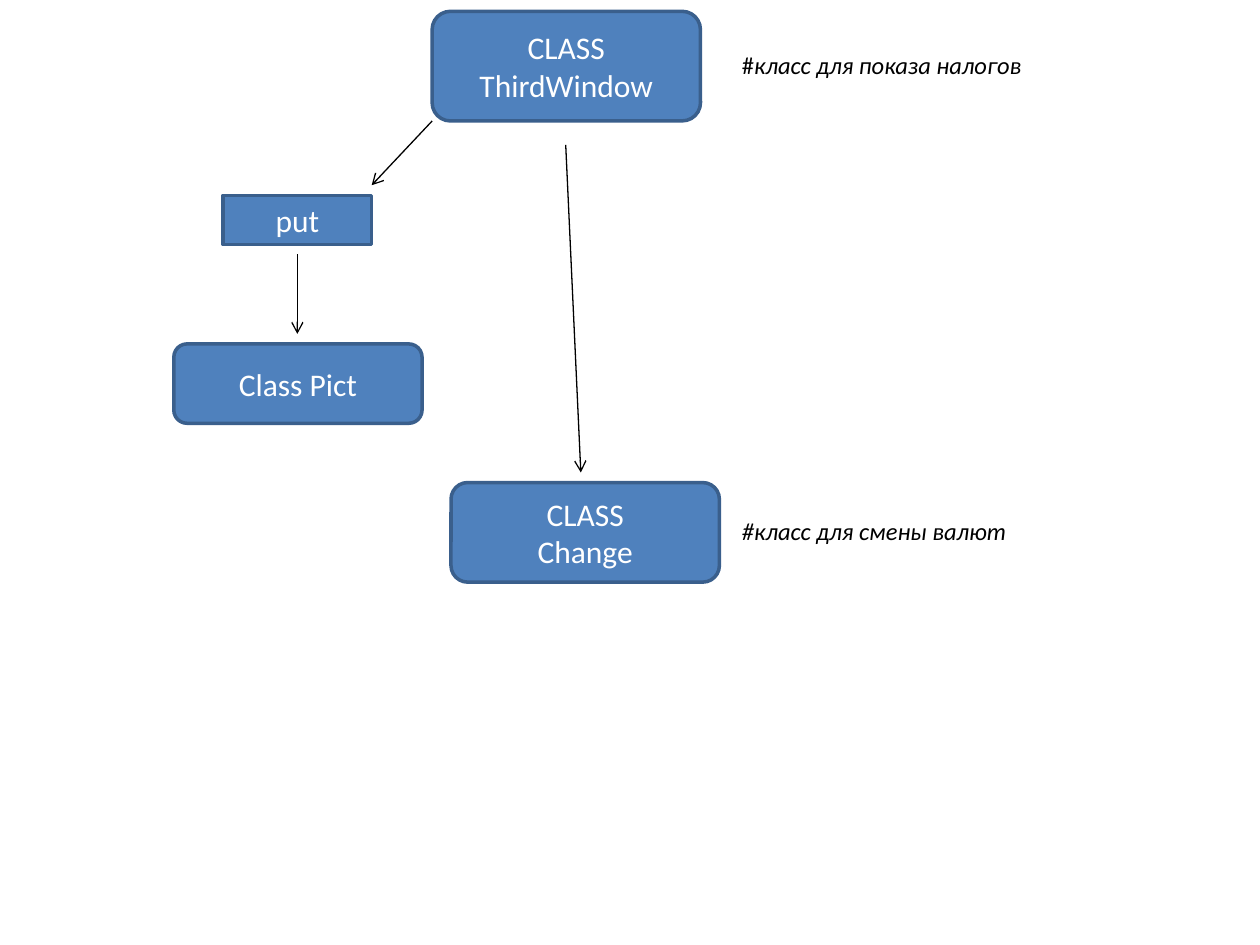
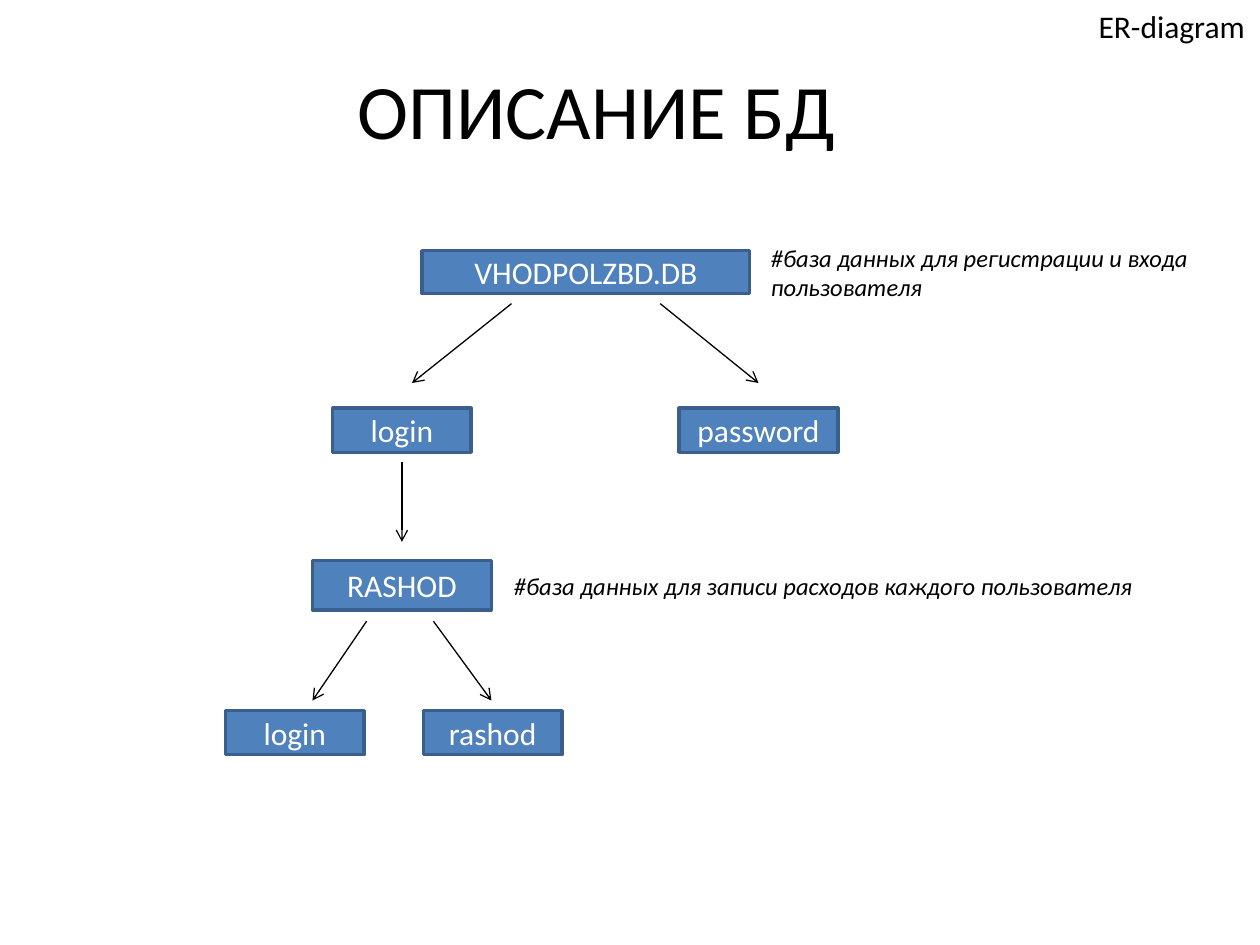
import collections
import lxml.etree
import pptx
import pptx.dml.color
import pptx.enum.shapes
import pptx.enum.text
import pptx.oxml.ns
import pptx.util

Inches = pptx.util.Inches
Pt = pptx.util.Pt
Color = pptx.dml.color.RGBColor
Shape = pptx.enum.shapes.MSO_SHAPE
Align = pptx.enum.text.PP_ALIGN
Anchor = pptx.enum.text.MSO_ANCHOR
Fit = pptx.enum.text.MSO_AUTO_SIZE
qn = pptx.oxml.ns.qn

BLUE = Color(0x4F, 0x81, 0xBD)
EDGE = Color(0x3A, 0x5F, 0x8C)
WHITE = Color(0xFF, 0xFF, 0xFF)
BLACK = Color(0, 0, 0)

FACE = "Calibri"
NODE = {"name": FACE, "size": Pt(18)}
NOTE = {"name": FACE, "size": Pt(14), "italic": True}
HEAD = {"name": FACE, "size": Pt(44)}
DROP = 0.63

Box = collections.namedtuple("Box", "left top width height")


def inner(box, left, top, width, height):
    return Box(box.left + left, box.top + top, width, height)


def style(font, form, color):
    for key, value in form.items():
        setattr(font, key, value)
    font.color.rgb = color


def write(frame, text, form, color, align):
    frame.text = text
    for para in frame.paragraphs:
        para.alignment = align
        for run in para.runs:
            style(run.font, form, color)


def node(slide, box, text, kind=Shape.RECTANGLE):
    shape = slide.shapes.add_shape(kind, *map(Inches, box))
    shape.shadow.inherit = False
    shape.fill.solid()
    shape.fill.fore_color.rgb = BLUE
    shape.line.color.rgb = EDGE
    shape.line.width = Pt(2)
    shape.text_frame.vertical_anchor = Anchor.MIDDLE
    write(shape.text_frame, text, NODE, WHITE, Align.CENTER)


def label(slide, box, text, form=NOTE, wrap=False):
    frame = slide.shapes.add_textbox(*map(Inches, box)).text_frame
    frame.word_wrap = wrap
    frame.auto_size = Fit.SHAPE_TO_FIT_TEXT
    write(frame, text, form, BLACK, Align.LEFT)
    return frame


def arrow(slide, box, x, y, end, drop=DROP):
    ends = (box.left + x, box.top + y, box.left + end, box.top + y + drop)
    link = slide.shapes.add_connector(
        pptx.enum.shapes.MSO_CONNECTOR.STRAIGHT, *map(Inches, ends))
    link.line.color.rgb = BLACK
    link.line.width = Pt(0.75)
    props = link.line._get_or_add_ln()
    lxml.etree.SubElement(props, qn("a:tailEnd"), type="arrow")
    lxml.etree.SubElement(props.getparent(), qn("a:effectLst"))


def classes(slide, box):
    node(slide, inner(box, 2.05, 0, 2.13, 0.87), "CLASS\nThirdWindow",
         Shape.ROUNDED_RECTANGLE)
    node(slide, inner(box, 0.39, 1.46, 1.18, 0.39), "put")
    node(slide, inner(box, 0, 2.64, 1.97, 0.63), "Class Pict",
         Shape.ROUNDED_RECTANGLE)
    node(slide, inner(box, 2.2, 3.74, 2.13, 0.79), "CLASS\nChange",
         Shape.ROUNDED_RECTANGLE)
    arrow(slide, box, 2.05, 0.87, 1.57, 0.51)
    arrow(slide, box, 0.98, 1.93, 0.98)
    arrow(slide, box, 3.11, 1.06, 3.23, 2.6)
    frame = label(slide, inner(box, 4.41, 0.26, 2.44, 0.34), "#")
    para = frame.paragraphs[0]
    para.runs[0].font.italic = False
    run = para.add_run()
    run.text = "класс для показа налогов"
    style(run.font, NOTE, BLACK)
    label(slide, inner(box, 4.41, 3.96, 2.32, 0.34), "#класс для смены валют")


def title(slide, box, text):
    shape = slide.shapes.title
    for key, value in box._asdict().items():
        setattr(shape, key, Inches(value))
    shape.text_frame.vertical_anchor = Anchor.MIDDLE
    write(shape.text_frame, text, HEAD, BLACK, Align.CENTER)


def tables(slide, box):
    for left, top, width, height, text in (
            (1.56, 0.11, 2.6, 0.34, "VHODPOLZBD.DB"),
            (0.85, 1.36, 1.1, 0.35, "login"),
            (3.6, 1.36, 1.26, 0.35, "password"),
            (0.69, 2.57, 1.42, 0.39, "RASHOD"),
            (0, 3.76, 1.1, 0.35, "login"),
            (1.57, 3.76, 1.1, 0.35, "rashod")):
        node(slide, inner(box, left, top, width, height), text)
    for x, y, end in ((2.27, 0.53, 1.48), (3.45, 0.53, 4.23),
                      (1.4, 1.79, 1.4),
                      (1.12, 3.05, 0.69), (1.65, 3.05, 2.11)):
        arrow(slide, box, x, y, end)
    label(slide, inner(box, 4.23, 0, 3.86, 0.57),
          "#база данных для регистрации и входа пользователя", wrap=True)
    label(slide, inner(box, 2.19, 2.6, 5.15, 0.34),
          "#база данных для записи расходов каждого пользователя")


def main():
    deck = pptx.Presentation()
    deck.slide_width, deck.slide_height = Inches(10), Inches(7.5)
    bare, titled = deck.slide_layouts[6], deck.slide_layouts[5]

    slide = deck.slides.add_slide(bare)
    classes(slide, Box(1.38, 0.09, 6.85, 4.53))

    slide = deck.slides.add_slide(titled)
    title(slide, Box(1.46, 0.36, 6.55, 1.01), "ОПИСАНИЕ БД")
    tables(slide, Box(1.79, 1.88, 8.09, 4.11))
    label(slide, Box(8.62, 0.01, 2.05, 0.4), "ER-diagram", NODE, True)

    deck.save("out.pptx")


main()
